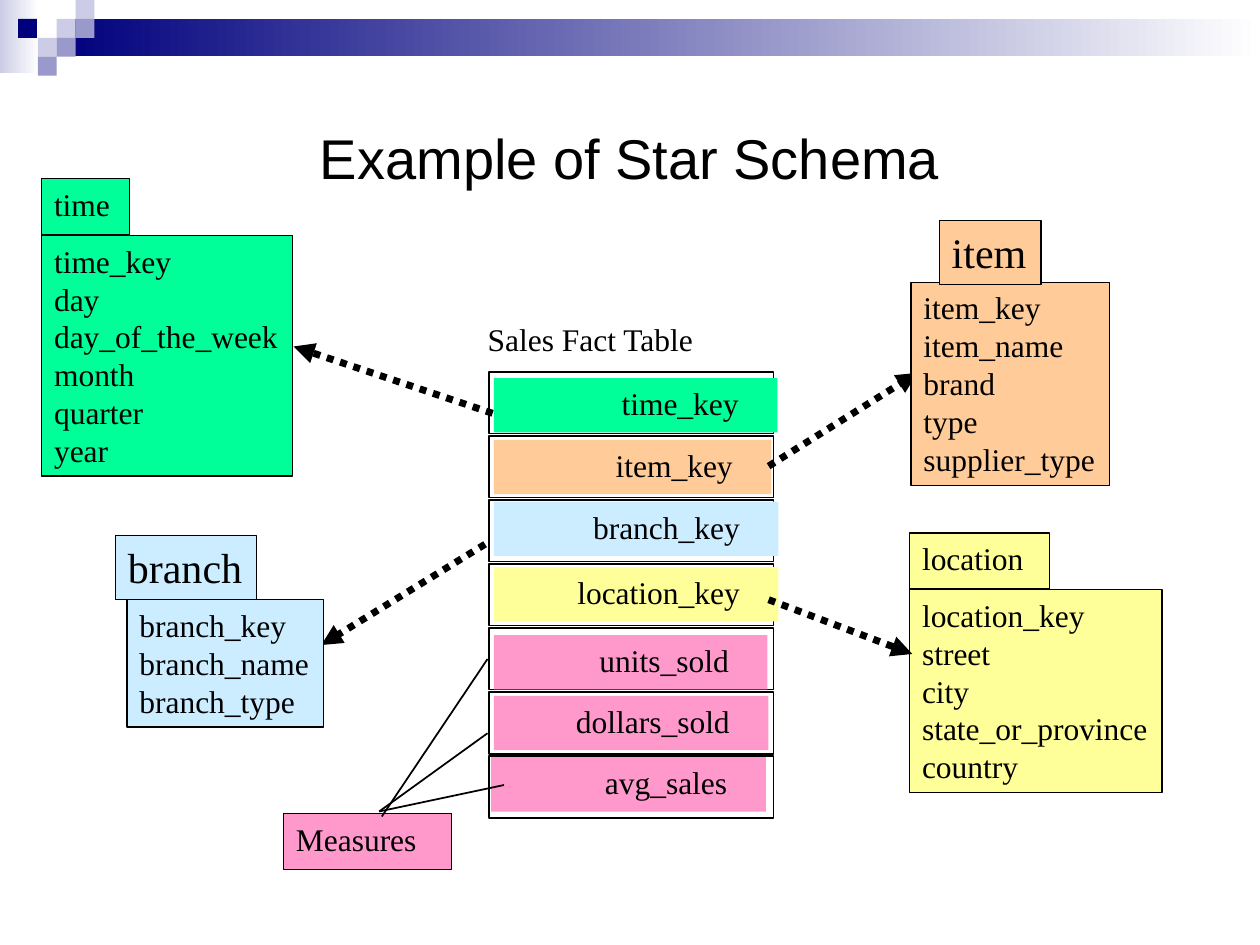
"""Build the star schema slide: a sales fact table and its four dimensions."""
from lxml import etree
from pptx import Presentation
from pptx.dml.color import RGBColor
from pptx.enum.dml import MSO_LINE
from pptx.enum.shapes import MSO_CONNECTOR, MSO_SHAPE
from pptx.enum.text import MSO_ANCHOR, PP_ALIGN
from pptx.oxml.ns import qn
from pptx.util import Pt

RECT = MSO_SHAPE.RECTANGLE
STRAIGHT = MSO_CONNECTOR.STRAIGHT
DOTTED = MSO_LINE.ROUND_DOT
LEFT, CENTER, RIGHT = PP_ALIGN.LEFT, PP_ALIGN.CENTER, PP_ALIGN.RIGHT
TOP, MIDDLE = MSO_ANCHOR.TOP, MSO_ANCHOR.MIDDLE

BLACK, WHITE = "000000", "FFFFFF"
NAVY, LILAC, PALE = "00007D", "9999CC", "CCCCE6"
GREEN, ORANGE, BLUE, YELLOW, PINK = "00FF99", "FFCC99", "CCECFF", "FFFF99", "FF99CC"

SQUARE = 10.8
SQUARES = [
    (32.4, 10.8, PALE), (43.2, 0, PALE), (43.2, 10.8, LILAC), (21.6, 21.6, PALE),
    (10.3, 10.8, NAVY), (32.4, 21.6, LILAC), (21.6, 32.4, LILAC),
]

CELL_LEFT, CELL_TOP, CELL_W, CELL_H, CELL_STEP = 279.4, 212.4, 162.7, 35.3, 36.6
KEY_H = 31.1
KEYS = [
    ("time_key", GREEN, 282.2, 216, 162),
    ("item_key", ORANGE, 282.2, 251.3, 158.6),
    ("branch_key", BLUE, 282.2, 286.6, 162.7),
    ("location_key", YELLOW, 282.2, 324, 162.7),
    ("units_sold", PINK, 282.2, 362.9, 156.4),
    ("dollars_sold", PINK, 282.2, 397.6, 156.9),
    ("avg_sales", PINK, 280.6, 432.7, 157),
]

MEASURE_LINES = [
    (218.2, 466.6, 278.6, 376.6), (216.7, 463.7, 278.6, 419), (216.7, 463.7, 288, 448.6),
]
ARROWS = [
    (277.2, 311, 183.6, 368.6), (281.5, 236.2, 167.8, 198),
    (439.2, 342.7, 521.3, 373.7), (439.2, 266.4, 524.2, 213.1),
]

OUTER_DIMENSIONS = [
    (GREEN, "time", 18, (23.8, 102.2, 50.4, 32),
     ["time_key", "day", "day_of_the_week", "month", "quarter", "year"],
     (23.8, 134.6, 143.3, 137.5)),
    (YELLOW, "location", 18, (519.8, 304.6, 79.9, 32),
     ["location_key", "street", "city", "state_or_province", "country"],
     (519.8, 337, 144.3, 116)),
]
FRONT_DIMENSIONS = [
    (ORANGE, "item", 24, (536.8, 126, 58.1, 36.7),
     ["item_key", "item_name", "brand", "type", "supplier_type"],
     (520.6, 161.3, 113.3, 116)),
    (BLUE, "branch", 24, (66, 306, 80.6, 36.7),
     ["branch_key", "branch_name", "branch_type"],
     (72.6, 342.7, 112.3, 72.7)),
]


def rgb(value):
    return RGBColor.from_string(value)


class Deck:
    """Holds the style and the current slide."""

    font, title_font, size = "Times New Roman", "Arial", 18

    def __init__(self, prs):
        self.slide = prs.slides.add_slide(prs.slide_layouts[5])
        self.shapes = self.slide.shapes

    def set_text(self, tf, lines, font, size, align=LEFT, anchor=TOP):
        tf.vertical_anchor = anchor
        for i, line in enumerate(lines):
            p = tf.add_paragraph() if i else tf.paragraphs[0]
            p.text = line
            p.alignment = align
            p.font.name = font
            p.font.size = Pt(size)
            p.font.color.rgb = rgb(BLACK)

    def title(self, text, x, y, w, h):
        sp = self.shapes.title
        sp.left, sp.top, sp.width, sp.height = Pt(x), Pt(y), Pt(w), Pt(h)
        self.set_text(sp.text_frame, [text], self.title_font, 32, CENTER, MIDDLE)

    def label(self, text, x, y, w, h):
        tf = self.shapes.add_textbox(Pt(x), Pt(y), Pt(w), Pt(h)).text_frame
        tf.word_wrap = True
        self.set_text(tf, [text], self.font, self.size)

    def box(self, x, y, w, h, fill=None, line=None, lines=(), size=None,
            align=LEFT, right=0, parent=None):
        sp = (parent or self.shapes).add_shape(RECT, Pt(x), Pt(y), Pt(w), Pt(h))
        sp.shadow.inherit = False
        if fill:
            sp.fill.solid()
            sp.fill.fore_color.rgb = rgb(fill)
        else:
            sp.fill.background()
        if line:
            sp.line.color.rgb = rgb(BLACK)
            sp.line.width = Pt(line)
        else:
            sp.line.fill.background()
        tf = sp.text_frame
        tf.word_wrap = True
        tf.margin_right = Pt(right)
        self.set_text(tf, lines, self.font, size or self.size, align)
        return sp

    def fade(self, x, y, w, h, color, parent):
        fill = self.box(x, y, w, h, color, parent=parent).fill
        fill.gradient()
        fill.gradient_angle = 0
        for stop, value in zip(fill.gradient_stops, (color, WHITE)):
            stop.color.rgb = rgb(value)

    def banner(self):
        group = self.shapes.add_group_shape().shapes
        self.fade(0, 0, 22.3, 41.8, PALE, group)
        self.fade(32.4, 10.8, 687.6, 21.4, NAVY, group)
        for x, y, color in SQUARES:
            self.box(x, y, SQUARE, SQUARE, color, parent=group)

    def dimension(self, color, name, size, head, fields, body):
        group = self.shapes.add_group_shape().shapes
        self.box(*body, color, 0.75, fields, parent=group)
        self.box(*head, color, 0.75, [name], size, parent=group)

    def line(self, x1, y1, x2, y2, width=1, arrow=False):
        cn = self.shapes.add_connector(STRAIGHT, Pt(x1), Pt(y1), Pt(x2), Pt(y2))
        cn.line.color.rgb = rgb(BLACK)
        cn.line.width = Pt(width)
        props = cn._element.spPr
        if arrow:
            cn.line.dash_style = DOTTED
            etree.SubElement(props.find(qn("a:ln")), qn("a:tailEnd"), type="triangle")
        etree.SubElement(props, qn("a:effectLst"))


def main():
    prs = Presentation()
    prs.slide_width, prs.slide_height = Pt(720), Pt(540)
    deck = Deck(prs)
    deck.banner()
    deck.title("Example of Star Schema", 36, 36, 648, 108)
    for entry in OUTER_DIMENSIONS:
        deck.dimension(*entry)
    deck.label("Sales Fact Table", 271.6, 179.3, 146, 31)
    for i, (name, color, x, y, w) in enumerate(KEYS):
        deck.box(CELL_LEFT, CELL_TOP + i * CELL_STEP, CELL_W, CELL_H, line=1)
        deck.box(x, y, w, KEY_H, color, lines=[name], align=RIGHT, right=22)
    deck.box(162, 465, 96, 32, PINK, 0.75, ["Measures"])
    for points in MEASURE_LINES:
        deck.line(*points)
    for points in ARROWS:
        deck.line(*points, width=4, arrow=True)
    for entry in FRONT_DIMENSIONS:
        deck.dimension(*entry)
    prs.save("out.pptx")


if __name__ == "__main__":
    main()
